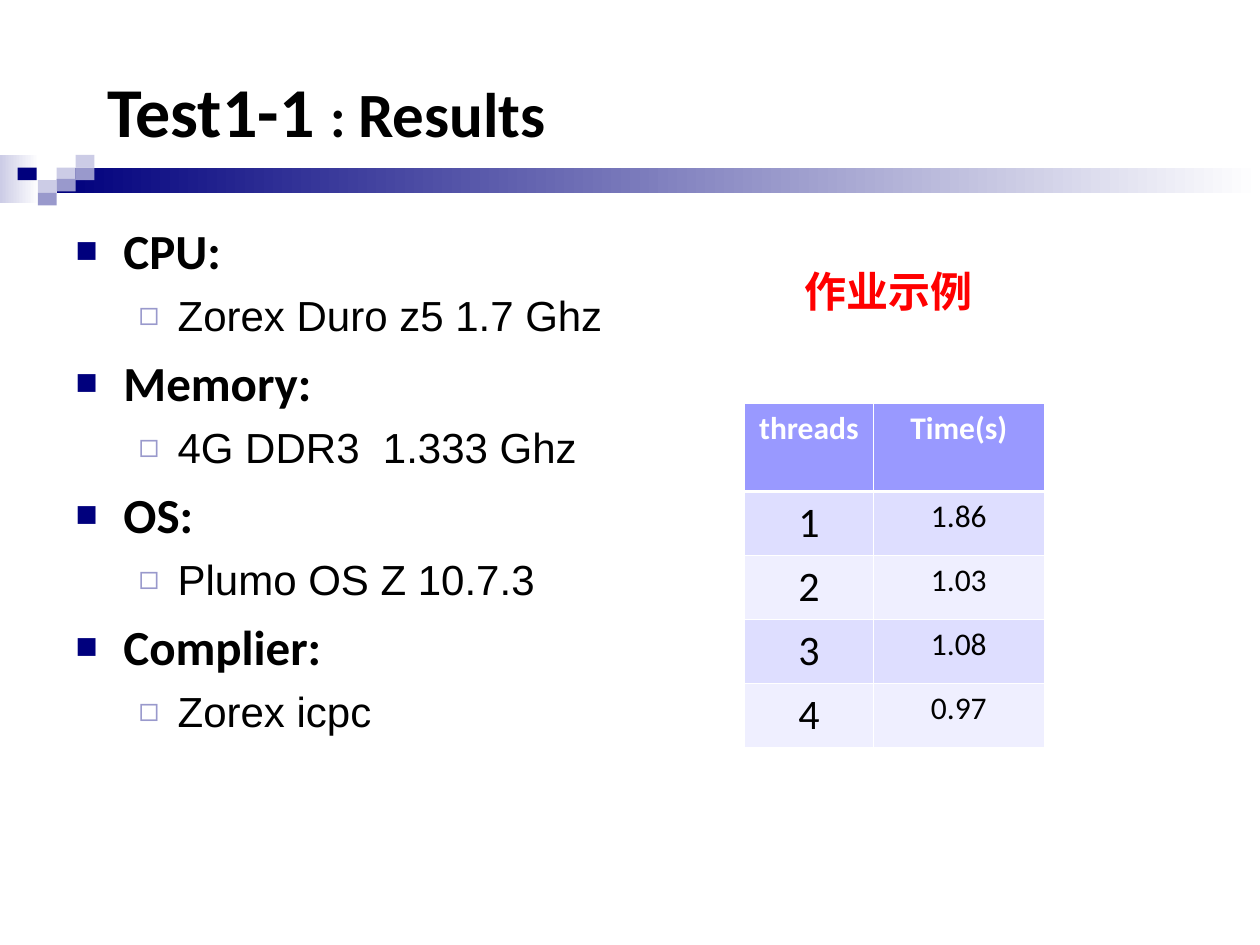
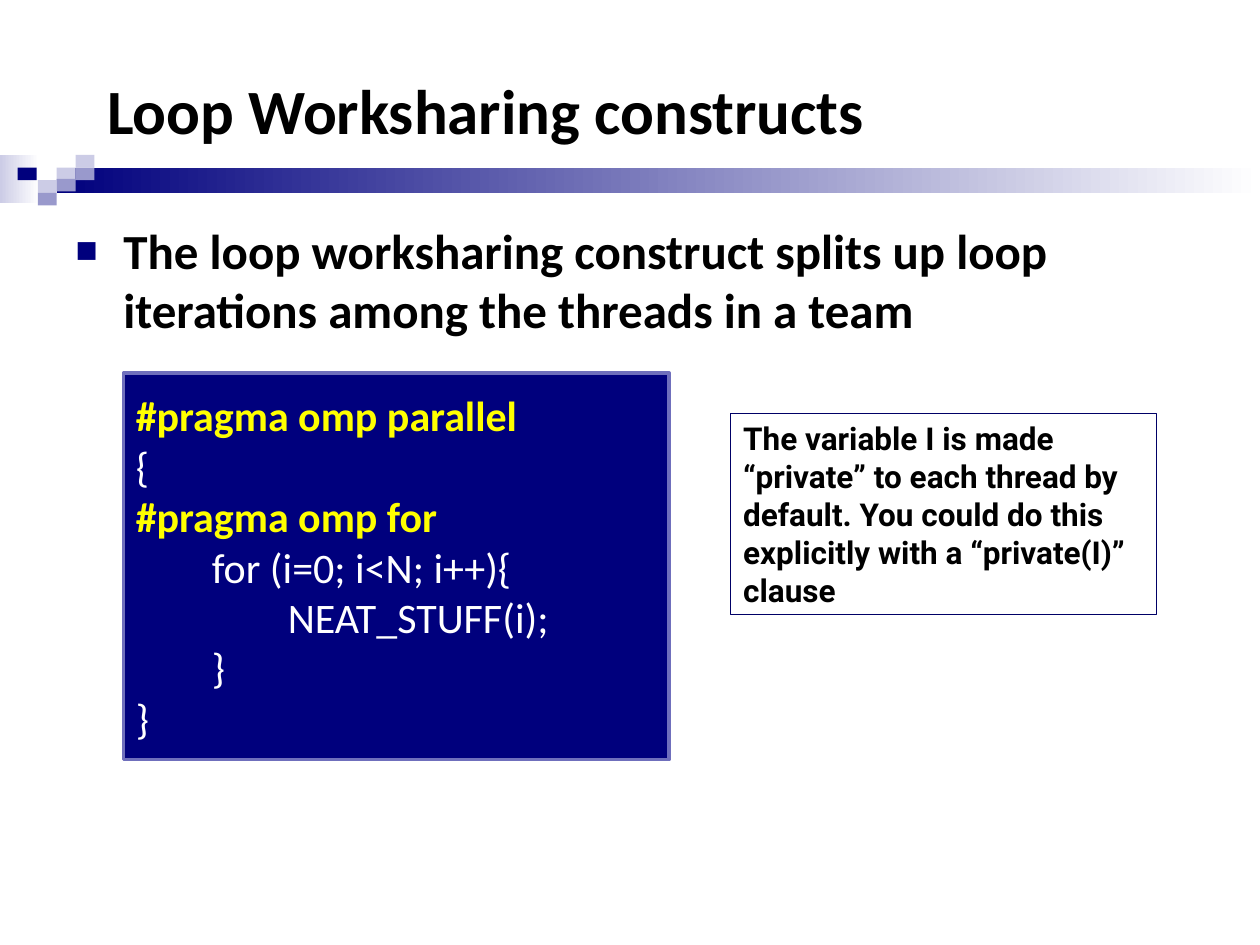
"""Build two lecture slides on threaded loops: test results and loop worksharing."""
from lxml import etree
from pptx import Presentation
from pptx.dml.color import RGBColor
from pptx.enum import shapes, text
from pptx.oxml import ns
from pptx.util import Inches, Pt

BLACK = RGBColor(0x00, 0x00, 0x00)
WHITE = RGBColor(0xFF, 0xFF, 0xFF)
RED = RGBColor(0xFF, 0x00, 0x00)
YELLOW = RGBColor(0xFF, 0xFF, 0x00)
NAVY = RGBColor(0x00, 0x00, 0x7D)
INK = RGBColor(0x00, 0x00, 0x66)
SLATE = RGBColor(0x6F, 0x6F, 0xBC)
LAVENDER = RGBColor(0x99, 0x99, 0xCC)
MIST = RGBColor(0xCC, 0xCC, 0xE6)
HEADER = RGBColor(0x99, 0x99, 0xFF)
ROW_ODD = RGBColor(0xDE, 0xDE, 0xFF)
ROW_EVEN = RGBColor(0xEF, 0xEF, 0xFF)

HEADING_FONT = "Calibri"
DETAIL_FONT = "Arial"
NOTE_FONT = "Roboto"
CHINESE_FONT = "Noto Sans CJK SC"

BAND_SQUARES = [
    (0.45, 1.33, MIST), (0.6, 1.23, MIST), (0.6, 1.33, LAVENDER),
    (0.3, 1.43, MIST), (0.14, 1.33, NAVY), (0.45, 1.42, LAVENDER),
    (0.3, 1.53, LAVENDER),
]
BULLETS = [
    dict(char="■", color=NAVY, scale=75, margin=0.38, hang=0.38, before=7,
         font=HEADING_FONT, size=28, bold=True),
    dict(char="◻", color=LAVENDER, scale=80, margin=0.81, hang=0.31, before=6,
         font=DETAIL_FONT, size=24, bold=False),
]


def add_element(parent, tag, **attributes):
    """Append a drawing element with the given attributes."""
    return etree.SubElement(parent, ns.qn(tag), attributes)


def format_run(run, font, size, color=BLACK, bold=False):
    """Set the typeface, size, colour and weight of a run."""
    run.font.name = font
    run.font.size = Pt(size)
    run.font.color.rgb = color
    run.font.bold = bold


def place(shape, left, top, width, height):
    """Move and size a shape, in inches."""
    shape.left, shape.top = Inches(left), Inches(top)
    shape.width, shape.height = Inches(width), Inches(height)


def add_rectangle(slide, left, top, width, height, fill=None, line=None, weight=1):
    """Add a flat rectangle with an optional fill and outline."""
    shape = slide.shapes.add_shape(
        shapes.MSO_SHAPE.RECTANGLE, Inches(left), Inches(top), Inches(width), Inches(height))
    shape.shadow.inherit = False
    if fill is None:
        shape.fill.background()
    else:
        shape.fill.solid()
        shape.fill.fore_color.rgb = fill
    if line is None:
        shape.line.fill.background()
    else:
        shape.line.color.rgb = line
        shape.line.width = Pt(weight)
    return shape


def add_fade(slide, left, top, width, height, color):
    """Add a rectangle that fades from a colour to white, left to right."""
    fill = add_rectangle(slide, left, top, width, height).fill
    fill.gradient()
    fill.gradient_angle = 0
    for stop, position, stop_color in zip(fill.gradient_stops, (0, 1), (color, WHITE)):
        stop.position = position
        stop.color.rgb = stop_color


def add_band(slide):
    """Draw the fading band and its cluster of small squares."""
    add_fade(slide, 0, 1.23, 0.31, 0.38, MIST)
    add_fade(slide, 0.45, 1.33, 9.55, 0.2, NAVY)
    for left, top, color in BAND_SQUARES:
        add_rectangle(slide, left, top, 0.15, 0.1, color)


def set_title(slide, parts):
    """Fill the title placeholder with (words, size) parts."""
    title = slide.shapes.title
    place(title, 0.75, 0.42, 8.42, 0.89)
    frame = title.text_frame
    frame.auto_size = text.MSO_AUTO_SIZE.NONE
    frame.vertical_anchor = text.MSO_ANCHOR.MIDDLE
    paragraph = frame.paragraphs[0]
    paragraph.alignment = text.PP_ALIGN.LEFT
    for words, size in parts:
        run = paragraph.add_run()
        run.text = words
        format_run(run, HEADING_FONT, size, bold=True)


def set_bullet(paragraph, style):
    """Give a paragraph its indent and coloured bullet."""
    properties = paragraph._p.get_or_add_pPr()
    properties.set("marL", str(Inches(style["margin"])))
    properties.set("indent", str(-Inches(style["hang"])))
    color = add_element(properties, "a:buClr")
    add_element(color, "a:srgbClr", val=str(style["color"]))
    add_element(properties, "a:buSzPct", val=str(style["scale"] * 1000))
    add_element(properties, "a:buFont", typeface=DETAIL_FONT)
    add_element(properties, "a:buChar", char=style["char"])


def set_body(slide, height, items):
    """Fill the body placeholder with (level, words) items."""
    body = slide.placeholders[1]
    place(body, 0.5, 1.7, 9, height)
    frame = body.text_frame
    frame.auto_size = text.MSO_AUTO_SIZE.NONE
    frame.text = "\n".join(words for _, words in items)
    for index, (paragraph, (level, _)) in enumerate(zip(frame.paragraphs, items)):
        style = BULLETS[level]
        paragraph.level = level
        paragraph.space_before = Pt(style["before"] if index else 0)
        set_bullet(paragraph, style)
        format_run(paragraph.runs[0], style["font"], style["size"], bold=style["bold"])


def set_borders(cell, top, bottom):
    """Draw white cell borders with the given top and bottom weights."""
    properties = cell._tc.get_or_add_tcPr()
    sides = [("a:lnL", 0.45), ("a:lnR", 0.45), ("a:lnT", top), ("a:lnB", bottom)]
    for index, (tag, weight) in enumerate(sides):
        line = add_element(properties, tag, w=str(Pt(weight)))
        fill = add_element(line, "a:solidFill")
        add_element(fill, "a:srgbClr", val=str(WHITE))
        properties.insert(index, line)


def add_timing_table(slide, rows):
    """Add the table of run time by number of threads."""
    table = slide.shapes.add_table(
        len(rows), 2, Inches(5.91), Inches(3.2), Inches(2.38), Inches(2.7)).table
    for column, width in zip(table.columns, (1.02, 1.36)):
        column.width = Inches(width)
    for row_index, values in enumerate(rows):
        is_header = row_index == 0
        table.rows[row_index].height = Inches(0.7 if is_header else 0.5)
        fill = HEADER if is_header else (ROW_EVEN, ROW_ODD)[row_index % 2]
        for column_index, value in enumerate(values):
            cell = table.cell(row_index, column_index)
            cell.fill.solid()
            cell.fill.fore_color.rgb = fill
            set_borders(cell, 1.47 if row_index == 1 else 0.45, 1.47 if is_header else 0.45)
            cell.text_frame.text = value
            paragraph = cell.text_frame.paragraphs[0]
            paragraph.alignment = text.PP_ALIGN.CENTER
            size = 18 if is_header or column_index else 24
            format_run(paragraph.runs[0], HEADING_FONT, size,
                       WHITE if is_header else BLACK, is_header)


def add_example_label(slide, words):
    """Add the red label above the table."""
    box = slide.shapes.add_textbox(Inches(6.29), Inches(2.06), Inches(1.97), Inches(0.5))
    box.text_frame.word_wrap = True
    box.text_frame.text = words
    run = box.text_frame.paragraphs[0].runs[0]
    format_run(run, CHINESE_FONT, 24, RED, True)
    add_element(run.font._element, "a:ea", typeface=CHINESE_FONT)


def add_code(slide, lines):
    """Add the code panel with its pragma lines highlighted."""
    frame = add_rectangle(slide, 0.98, 2.96, 4.33, 3.07, NAVY, SLATE, 2).text_frame
    frame.vertical_anchor = text.MSO_ANCHOR.MIDDLE
    frame.text = "\n".join(lines)
    for paragraph in frame.paragraphs:
        paragraph.alignment = text.PP_ALIGN.LEFT
        is_pragma = paragraph.text.startswith("#pragma")
        format_run(paragraph.runs[0], HEADING_FONT, 24,
                   YELLOW if is_pragma else WHITE, is_pragma)


def add_note(slide, words):
    """Add the outlined remark beside the code."""
    frame = add_rectangle(slide, 5.8, 3.28, 3.38, 1.6, line=INK, weight=0.75).text_frame
    frame.word_wrap = True
    frame.vertical_anchor = text.MSO_ANCHOR.TOP
    frame.text = words
    paragraph = frame.paragraphs[0]
    paragraph.alignment = text.PP_ALIGN.LEFT
    format_run(paragraph.runs[0], NOTE_FONT, 18, bold=True)


def add_content_slide(presentation, title_parts, body_height, items):
    """Add a slide with the shared band, a title and a bulleted list."""
    slide = presentation.slides.add_slide(presentation.slide_layouts[1])
    add_band(slide)
    set_title(slide, title_parts)
    set_body(slide, body_height, items)
    return slide


def main():
    """Build both slides and save the presentation."""
    presentation = Presentation()
    presentation.slide_width, presentation.slide_height = Inches(10), Inches(7.5)

    results = add_content_slide(
        presentation, [("Test1-1 ", 40), (": ", 32), ("Results", 36)], 5.04,
        [(0, "CPU:"), (1, "Zorex Duro z5 1.7 Ghz"),
         (0, "Memory:"), (1, "4G DDR3  1.333 Ghz"),
         (0, "OS:"), (1, "Plumo OS Z 10.7.3"),
         (0, "Complier:"), (1, "Zorex icpc")])
    add_timing_table(results, [
        ("threads", "Time(s)"), ("1", "1.86"), ("2", "1.03"), ("3", "1.08"), ("4", "0.97")])
    add_example_label(results, "作业示例")

    worksharing = add_content_slide(
        presentation, [("Loop Worksharing constructs", 36)], 4.49,
        [(0, "The loop worksharing construct splits up loop iterations "
             "among the threads in a team")])
    add_code(worksharing, [
        "#pragma omp parallel",
        "{",
        "#pragma omp for",
        "        for (i=0; i<N; i++){",
        "                NEAT_STUFF(i);",
        "        }",
        "}",
    ])
    add_note(worksharing, "The variable I is made “private” to each thread by default. "
                          "You could do this explicitly with a “private(I)” clause")

    presentation.save("out.pptx")


if __name__ == "__main__":
    main()
